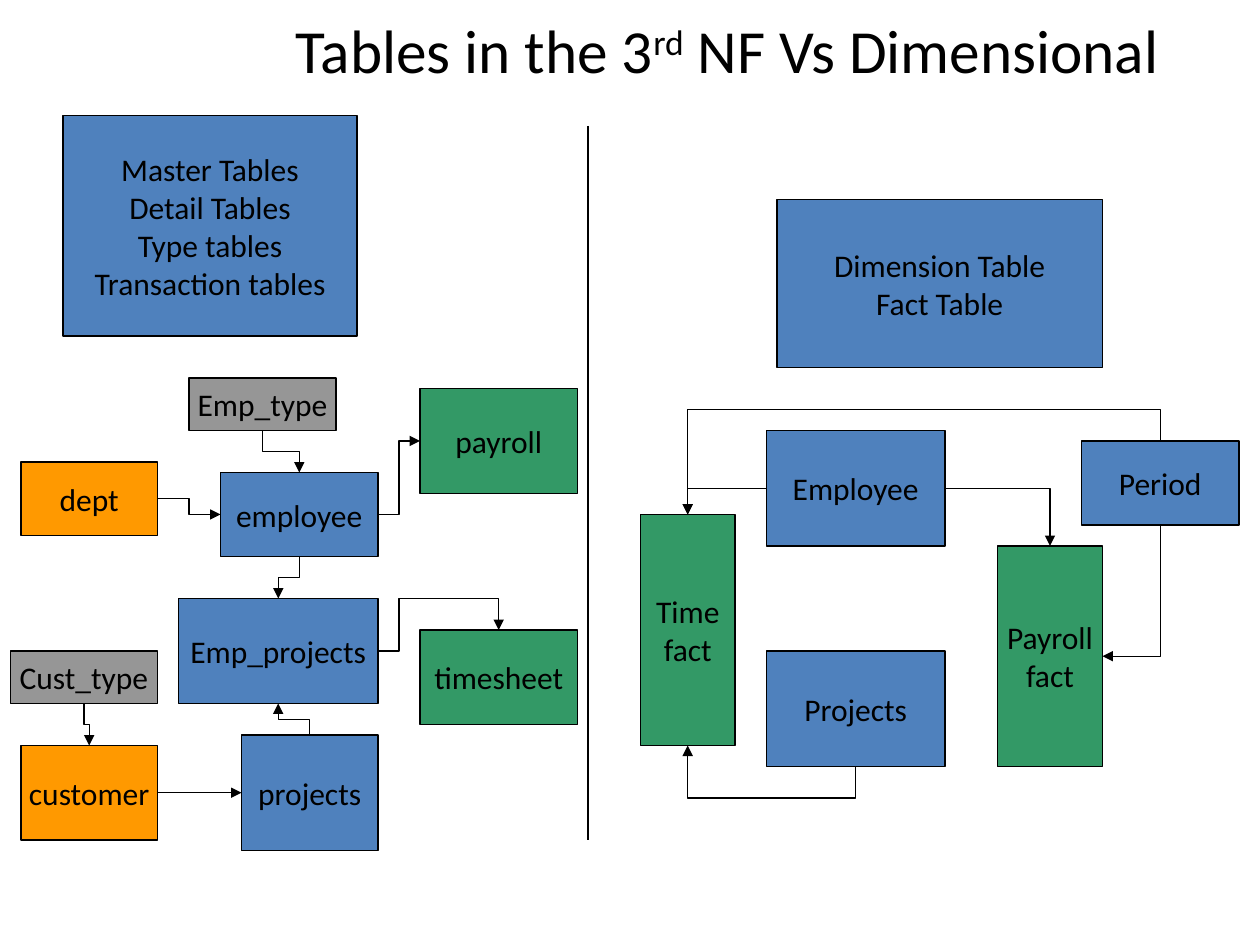
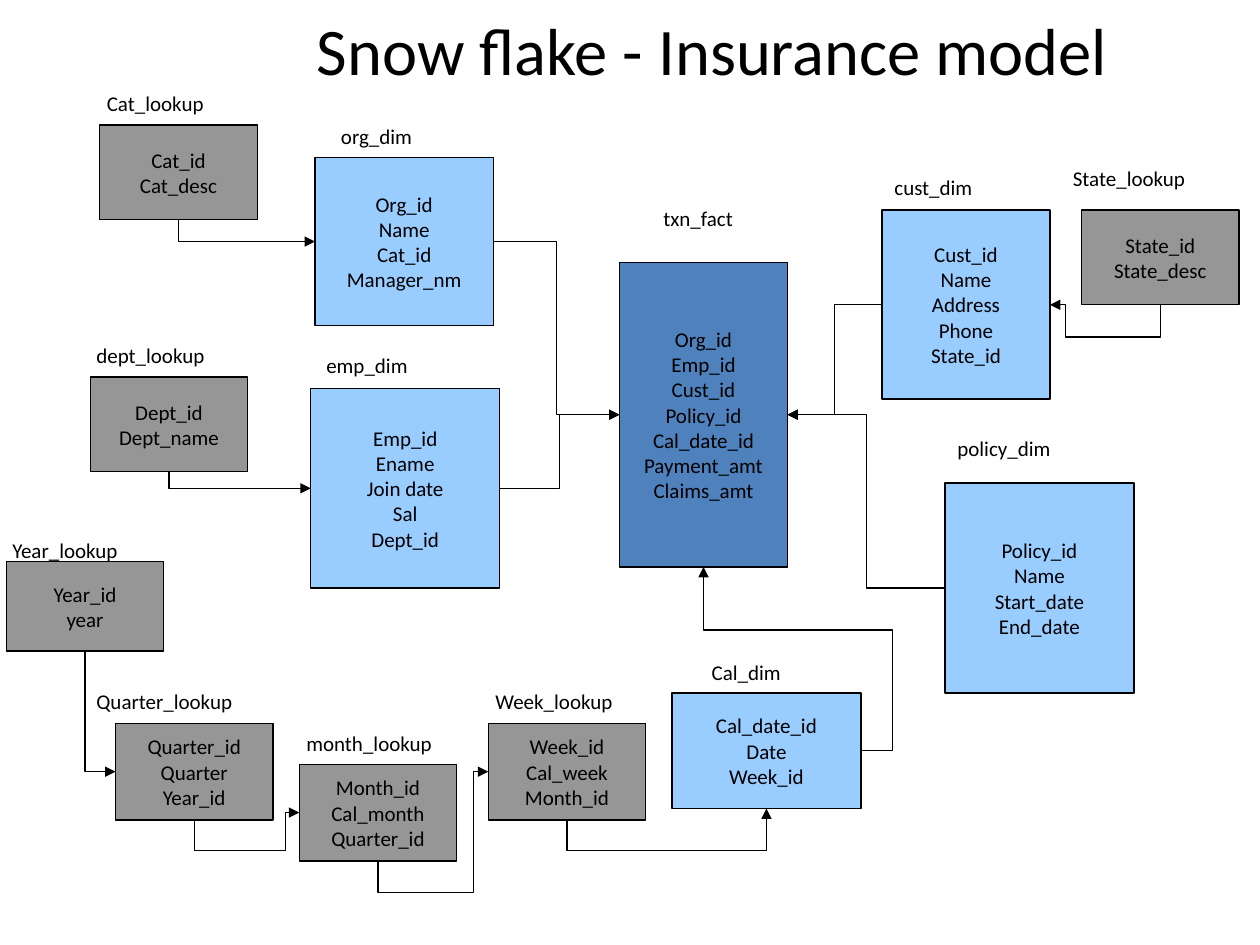
"""Build two data-model slides: 3rd NF against dimensional tables, and a snowflake schema."""
from lxml import etree
from pptx import Presentation, util as u
from pptx.dml.color import RGBColor
from pptx.enum import shapes, text
from pptx.oxml.ns import qn

GRID = 25.4 / 120
COLORS = {"ink": "000000", "core": "4F81BD", "dim": "99CCFF",
          "lookup": "969696", "fact": "339966", "master": "FF9900"}
SITES = {"top": 0, "left": 1, "bottom": 2, "right": 3}
FRAME = {"vertical_anchor": text.MSO_ANCHOR.MIDDLE, "word_wrap": False}
LABEL_FRAME = {"vertical_anchor": text.MSO_ANCHOR.TOP, "word_wrap": False}
TITLE_FRAME = {"vertical_anchor": text.MSO_ANCHOR.MIDDLE, "word_wrap": True}
LEFT, CENTER = text.PP_ALIGN.LEFT, text.PP_ALIGN.CENTER

NORMAL_FORM = {
    "title": [("Tables in the 3", 0), ("rd", 30), (" NF Vs Dimensional", 0)],
    "title_left": 27, "title_size": 35, "box_size": 18,
    "boxes": {
        "kinds": ("core", (6, 11, 28, 21),
                  "Master Tables\nDetail Tables\nType tables\nTransaction tables"),
        "dim_kinds": ("core", (74, 19, 31, 16), "Dimension Table\nFact Table"),
        "dept": ("master", (2, 44, 13, 7), "dept"),
        "employee": ("core", (21, 45, 15, 8), "employee"),
        "projects": ("core", (23, 70, 13, 11), "projects"),
        "payroll": ("fact", (40, 37, 15, 10), "payroll"),
        "customer": ("master", (2, 71, 13, 9), "customer"),
        "emp_projects": ("core", (17, 57, 19, 10), "Emp_projects"),
        "timesheet": ("fact", (40, 60, 15, 9), "timesheet"),
        "cust_type": ("lookup", (1, 62, 14, 5), "Cust_type"),
        "employee_dim": ("core", (73, 41, 17, 11), "Employee"),
        "projects_dim": ("core", (73, 62, 17, 11), "Projects"),
        "period_dim": ("core", (103, 42, 15, 8), "Period"),
        "payroll_fact": ("fact", (95, 52, 10, 21), "Payroll\nfact"),
        "time_fact": ("fact", (61, 49, 9, 22), "Time\nfact"),
        "emp_type": ("lookup", (18, 36, 14, 5), "Emp_type"),
    },
    "labels": [],
    "links": [
        ("employee", "right", "payroll", "left"),
        ("dept", "right", "employee", "left"),
        ("customer", "right", "projects", "left"),
        ("employee", "bottom", "emp_projects", "top"),
        ("projects", "top", "emp_projects", "bottom"),
        ("emp_projects", "right", "timesheet", "top", 38, 57),
        ("cust_type", "bottom", "customer", "top"),
        ("period_dim", "bottom", "payroll_fact", "right"),
        ("employee_dim", "right", "payroll_fact", "top"),
        ("employee_dim", "left", "time_fact", "top"),
        ("projects_dim", "bottom", "time_fact", "bottom", 76),
        ("period_dim", "top", "time_fact", "top", 39),
        ("emp_type", "bottom", "employee", "top"),
    ],
    "dividers": [(56, 12, 56, 80)],
}

SNOWFLAKE = {
    "title": [("Snow flake - Insurance model", 0)],
    "title_left": 29, "title_size": 38, "box_size": 12,
    "boxes": {
        "org": ("dim", (30, 15, 17, 16), "Org_id\nName\nCat_id\nManager_nm"),
        "emp": ("dim", (29.6, 37, 18, 19), "Emp_id\nEname\nJoin date\nSal\nDept_id"),
        "cust": ("dim", (84, 20, 16, 18), "Cust_id\nName\nAddress\nPhone\nState_id"),
        "policy": ("dim", (90, 46, 18, 20), "Policy_id\nName\nStart_date\nEnd_date"),
        "cal": ("dim", (64, 66, 18, 11), "Cal_date_id\nDate\nWeek_id"),
        "txn": ("core", (59, 25, 16, 29), "Org_id\nEmp_id\nCust_id\nPolicy_id\n"
                "Cal_date_id\nPayment_amt\nClaims_amt"),
        "cat": ("lookup", (9.5, 11.9, 15, 9), "Cat_id\nCat_desc"),
        "dept": ("lookup", (8.6, 35.9, 15, 9), "Dept_id\nDept_name"),
        "week": ("lookup", (46.5, 68.9, 15, 9.2), "Week_id\nCal_week\nMonth_id"),
        "state": ("lookup", (103, 20, 15, 9), "State_id\nState_desc"),
        "month": ("lookup", (28.5, 72.8, 15, 9.2), "Month_id\nCal_month\nQuarter_id"),
        "quarter": ("lookup", (11, 68.9, 15, 9.2), "Quarter_id\nQuarter\nYear_id"),
        "year": ("lookup", (0.6, 53.5, 15, 8.5), "Year_id\nyear"),
    },
    "labels": [
        ("org_dim", 31.3, 11.2, 9.6), ("emp_dim", 29.9, 33, 10.6),
        ("txn_fact", 62, 19, 9.4), ("Cal_dim", 66.6, 62.2, 9.7),
        ("cust_dim", 84, 16, 10.4), ("policy_dim", 90, 40.9, 11.8),
        ("Cat_lookup", 9, 8, 12.5), ("dept_lookup", 8, 32, 13.2),
        ("Week_lookup", 46, 65, 14.5), ("State_lookup", 101, 15.2, 13.2),
        ("month_lookup", 28, 69, 14.9), ("Quarter_lookup", 8, 65, 16.2),
        ("Year_lookup", 0, 50.6, 13.6),
    ],
    "links": [
        ("org", "right", "txn", "left"),
        ("emp", "right", "txn", "left"),
        ("cal", "right", "txn", "bottom", 85, 60),
        ("cust", "left", "txn", "right"),
        ("policy", "left", "txn", "right"),
        ("cat", "bottom", "org", "left"),
        ("dept", "bottom", "emp", "left"),
        ("state", "bottom", "cust", "right", 32, 101.5),
        ("week", "bottom", "cal", "bottom", 81),
        ("month", "bottom", "week", "left", 85, 45.1),
        ("quarter", "bottom", "month", "left", 81, 27.2),
        ("year", "bottom", "quarter", "left"),
    ],
    "dividers": [],
}


def cm(*units):
    return [u.Cm(n * GRID) for n in units]


def rgb(name):
    return RGBColor.from_string(COLORS[name])


def apply(obj, fmt):
    for key, value in fmt.items():
        setattr(obj, key, value)


def write(tf, paragraphs, size, frame, align):
    apply(tf, frame)
    for i, runs in enumerate(paragraphs):
        p = tf.add_paragraph() if i else tf.paragraphs[0]
        p.alignment = align
        for words, raised in runs:
            r = p.add_run()
            r.text = words
            apply(r.font, {"name": "Calibri", "size": u.Pt(size)})
            r.font.color.rgb = rgb("ink")
            if raised:
                r._r.get_or_add_rPr().set("baseline", str(raised * 1000))


def add_text(s, rect, runs, size, frame):
    tf = s.shapes.add_textbox(*cm(*rect)).text_frame
    write(tf, [runs], size, frame, LEFT)


def add_box(s, kind, rect, words, size):
    sp = s.shapes.add_shape(shapes.MSO_SHAPE.RECTANGLE, *cm(*rect))
    sp.shadow.inherit = False
    sp.fill.solid()
    sp.fill.fore_color.rgb = rgb(kind)
    sp.line.color.rgb = rgb("ink")
    sp.line.width = u.Pt(0.75)
    write(sp.text_frame, [[(line, 0)] for line in words.split("\n")], size, FRAME, CENTER)
    return sp


def add_line(s, kind, ends, arrow):
    c = s.shapes.add_connector(kind, *cm(*ends))
    c.line.color.rgb = rgb("ink")
    c.line.width = u.Pt(0.75)
    if arrow:
        etree.SubElement(c.line._get_or_add_ln(), qn("a:tailEnd"), type="triangle")
    etree.SubElement(c._element.spPr, qn("a:effectLst"))
    return c


def site(rect, side):
    x, y, w, h = rect
    return {"top": (x + w / 2, y), "left": (x, y + h / 2),
            "bottom": (x + w / 2, y + h), "right": (x + w, y + h / 2)}[side]


def bend(c, start, end, upright, parallel, turns):
    """Shape an elbow that leaves along one axis and turns at the given coordinates."""
    axes = (1, 0) if upright else (0, 1)
    along, across = (end[a] - start[a] or 0.05 for a in axes)
    if parallel and not turns:
        turns = [start[axes[0]] + along / 2]
    w, h = abs(along), abs(across)
    mid_x, mid_y = ((a + b) / 2 for a, b in zip(start, end))
    box = cm(mid_x - w / 2, mid_y - h / 2, w, h)
    apply(c, dict(zip(("left", "top", "width", "height"), box)))
    xfrm = c._element.spPr.find(qn("a:xfrm"))
    flip_v = across > 0 if upright else across < 0
    for key, value in {"rot": 5400000 * upright, "flipH": int(along < 0),
                       "flipV": int(flip_v)}.items():
        xfrm.set(key, str(value))
    geom = c._element.spPr.find(qn("a:prstGeom"))
    geom.set("prst", f"bentConnector{len(turns) + 2}")
    guides = geom.find(qn("a:avLst"))
    for i, (turn, axis, span) in enumerate(zip(turns, axes, (along, across)), 1):
        share = round((turn - start[axis]) / span * 100000)
        etree.SubElement(guides, qn("a:gd"), name=f"adj{i}", fmla=f"val {share}")


def add_link(s, boxes, drawn, source, out, target, into, *turns):
    start, end = site(boxes[source][1], out), site(boxes[target][1], into)
    upright, arrives_upright = (side in ("top", "bottom") for side in (out, into))
    parallel = upright == arrives_upright
    straight = parallel and start[not upright] == end[not upright]
    kind = shapes.MSO_CONNECTOR.STRAIGHT if straight else shapes.MSO_CONNECTOR.ELBOW
    c = add_line(s, kind, (*start, *end), True)
    c.begin_connect(drawn[source], SITES[out])
    c.end_connect(drawn[target], SITES[into])
    if not straight:
        bend(c, start, end, upright, parallel, list(turns))


def add_model(prs, model):
    s = prs.slides.add_slide(prs.slide_layouts[6])
    add_text(s, (model["title_left"], 0, 89, 9.4), model["title"],
             model["title_size"], TITLE_FRAME)
    boxes = model["boxes"]
    drawn = {name: add_box(s, *box, model["box_size"]) for name, box in boxes.items()}
    for words, x, y, w in model["labels"]:
        add_text(s, (x, y, w, 3.6), [(words, 0)], model["box_size"], LABEL_FRAME)
    for link in model["links"]:
        add_link(s, boxes, drawn, *link)
    for ends in model["dividers"]:
        add_line(s, shapes.MSO_CONNECTOR.STRAIGHT, ends, False)


def main():
    prs = Presentation()
    apply(prs, {"slide_width": u.Cm(25.4), "slide_height": u.Cm(19.05)})
    for model in (NORMAL_FORM, SNOWFLAKE):
        add_model(prs, model)
    prs.save("out.pptx")


if __name__ == "__main__":
    main()
